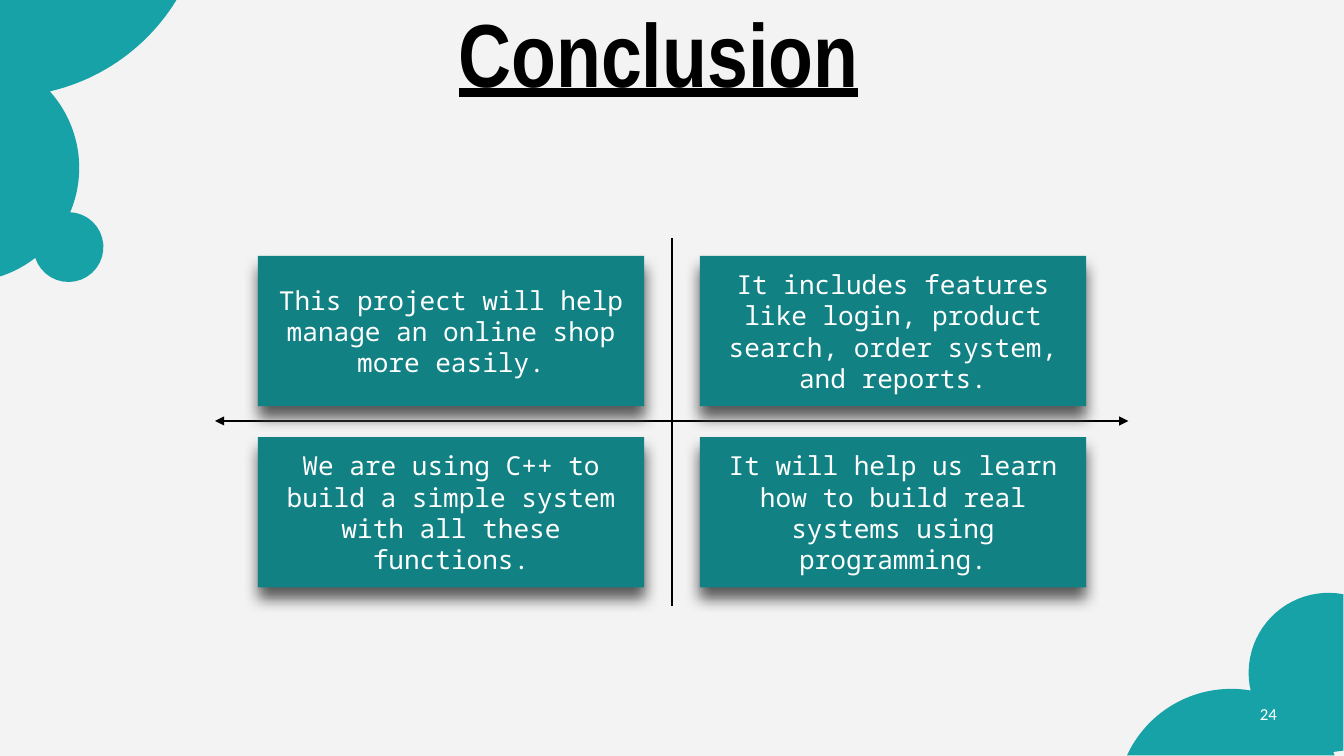
import math

from lxml import etree
from pptx import Presentation
from pptx.dml.color import RGBColor
from pptx.enum import shapes, text
from pptx.oxml import ns
from pptx.util import Inches, Pt

BACKDROP, CLOUD, CARD = "F3F3F3", "16A2A6", "128184"
BLACK, WHITE, SHADOW = "000000", "FFFFFF", "595959"
POINTS = [
    "This project will help manage an online shop more easily.",
    "It includes features like login, product search, order system, and reports.",
    "We are using C++ to build a simple system with all these functions.",
    "It will help us learn how to build real systems using programming.",
]


def paint(fmt, color):
    """Give a fill or line format's fill a solid colour."""
    fmt.solid()
    fmt.fore_color.rgb = RGBColor.from_string(color)


def write(tf, words, font, size, color, align):
    """Write one paragraph with its font and alignment, and return it."""
    tf.word_wrap = True
    p = tf.paragraphs[0]
    p.text = words
    p.alignment = align
    p.font.name, p.font.size = font, Pt(size)
    p.font.color.rgb = RGBColor.from_string(color)
    return p


def clear_insets(tf):
    """Remove the inner margins of a text frame."""
    tf.margin_left = tf.margin_right = tf.margin_top = tf.margin_bottom = 0


def arc(cx, cy, radius, start, end, steps=24):
    """Return points along a circle between two angles in degrees."""
    angles = [math.radians(start + (end - start) * i / steps) for i in range(steps + 1)]
    return [(cx + radius * math.cos(a), cy + radius * math.sin(a)) for a in angles]


def add_cloud(slide, outline):
    """Draw a cloud from its outline in inches."""
    points = [(Inches(x), Inches(y)) for x, y in outline]
    builder = slide.shapes.build_freeform(*points[0])
    builder.add_line_segments(points[1:])
    sp = builder.convert_to_shape()
    sp.shadow.inherit = False
    paint(sp.fill, CLOUD)
    sp.line.fill.background()


def add_corners(slide, width, height):
    """Place the clouds in the top left and bottom right corners."""
    add_cloud(slide, [(0, 0)]
              + arc(0.06, -1.57, 3.01, 31.5, 76.9)
              + arc(-0.52, 2.5, 1.7, -42, 23.3)
              + arc(1.02, 3.68, 0.52, -88, 162)
              + arc(-0.52, 2.5, 1.7, 52.2, 72.2))
    add_cloud(slide, arc(width - 1.67, height + 0.72, 1.71, 204.9, 279.8)
              + arc(width - 0.22, height - 1.23, 1.19, 166.9, 280.6)
              + [(width, height - 0.07), (width - 0.15, height - 0.05),
                 (width - 0.13, height)])


def add_title(slide, left, top, width, height):
    """Place the underlined slide title."""
    sp = slide.shapes.title
    sp.left, sp.top, sp.width, sp.height = map(Inches, (left, top, width, height))
    tf = sp.text_frame
    clear_insets(tf)
    tf.auto_size = text.MSO_AUTO_SIZE.NONE
    tf.vertical_anchor = text.MSO_ANCHOR.TOP
    p = write(tf, "Conclusion", "Arial Narrow", 96, BLACK, text.PP_ALIGN.CENTER)
    p.font.bold = p.font.underline = True


def add_axis(slide, start, end, weight, arrows=False):
    """Draw an axis line, with arrowheads at both ends if asked."""
    line = slide.shapes.add_connector(
        shapes.MSO_CONNECTOR.STRAIGHT, *map(Inches, start + end))
    paint(line.line.fill, BLACK)
    line.line.width = Pt(weight)
    if arrows:
        ln = line.line.fill._xPr
        for tag in ("a:headEnd", "a:tailEnd"):
            etree.SubElement(ln, ns.qn(tag), type="triangle", w="lg", len="lg")
    etree.SubElement(line._element.spPr, ns.qn("a:effectLst"))


def add_card(slide, words, left, top, width, height):
    """Place one shadowed card with centred text."""
    sp = slide.shapes.add_shape(
        shapes.MSO_SHAPE.RECTANGLE, *map(Inches, (left, top, width, height)))
    paint(sp.fill, CARD)
    sp.line.fill.background()
    sp.shadow.inherit = False
    effects = sp._element.spPr.find(ns.qn("a:effectLst"))
    outer = etree.SubElement(effects, ns.qn("a:outerShdw"), blurRad=str(Pt(16)),
                             dist=str(Pt(12)), dir="5400000", algn="t", rotWithShape="0")
    etree.SubElement(outer, ns.qn("a:srgbClr"), val=SHADOW)
    sp.text_frame.vertical_anchor = text.MSO_ANCHOR.MIDDLE
    write(sp.text_frame, words, "Noto Sans Mono", 28, WHITE, text.PP_ALIGN.CENTER)


def add_quadrants(slide, left, top, width, height):
    """Place the crossed axes and a card in each quadrant."""
    mid_x, mid_y = left + width / 2, top + 2.72
    add_axis(slide, (left, mid_y), (left + width, mid_y), 1.44, arrows=True)
    add_axis(slide, (mid_x, top), (mid_x, top + height), 2.5)
    for i, words in enumerate(POINTS):
        row, col = divmod(i, 2)
        add_card(slide, words, left + 0.64 + col * 6.58, top + 0.26 + row * 2.7, 5.75, 2.24)


def add_page_number(slide, left, top, width, height):
    """Place the page number."""
    sp = slide.shapes.add_textbox(*map(Inches, (left, top, width, height)))
    clear_insets(sp.text_frame)
    write(sp.text_frame, "24", "Calibri", 18, WHITE, text.PP_ALIGN.RIGHT)


def main():
    """Build the conclusion slide and save it."""
    prs = Presentation()
    prs.slide_width, prs.slide_height = Inches(20.01), Inches(11.26)
    slide = prs.slides.add_slide(prs.slide_layouts[5])
    paint(slide.background.fill, BACKDROP)
    add_corners(slide, 20, 11.25)
    add_quadrants(slide, 3.2, 3.55, 13.6, 5.48)
    add_page_number(slide, 14.41, 10.48, 4.6, 0.3)
    add_title(slide, 4.8, -0.03, 10.01, 1.63)
    prs.save("out.pptx")


if __name__ == "__main__":
    main()
